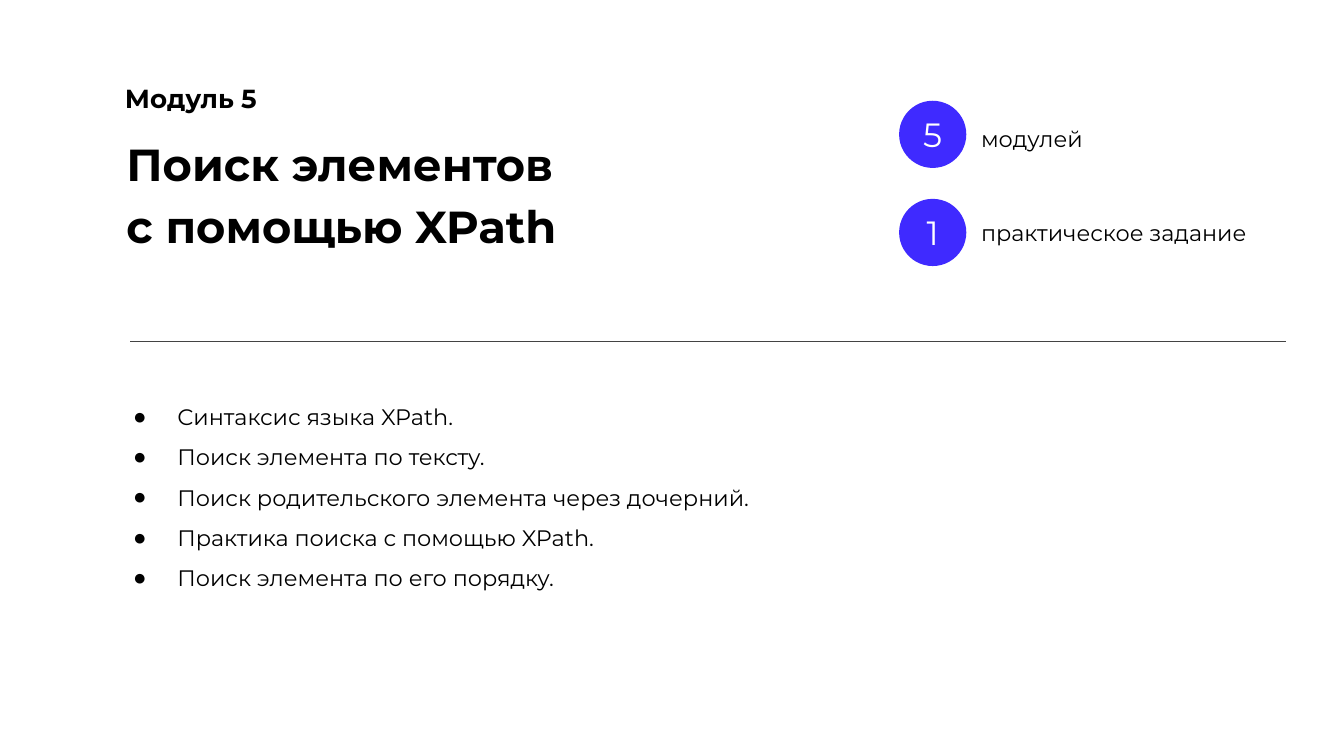
from lxml.etree import SubElement
from pptx import Presentation
from pptx.dml.color import RGBColor
from pptx.enum.shapes import MSO_CONNECTOR as Connector, MSO_SHAPE as Shape
from pptx.enum.text import MSO_ANCHOR as Anchor, MSO_AUTO_SIZE as AutoSize, PP_ALIGN as Align
from pptx.oxml.ns import qn
from pptx.util import Inches, Pt

# Content
MODULE = "Модуль 5"
TITLE = "Поиск элементов\vс помощью XPath"
TOPICS = [
    "Синтаксис языка XPath.",
    "Поиск элемента по тексту.",
    "Поиск родительского элемента через дочерний.",
    "Практика поиска с помощью XPath.",
    "Поиск элемента по его порядку.",
]
# Count, label, top of the label
COUNTERS = [("5", "модулей", 0.9), ("1", "практическое задание", 1.6)]

# Formats
BLACK, WHITE, BLUE, GREY = "000000", "FFFFFF", "3F2AFF", "434343"
MODULE_FONT = {"size": Pt(14), "bold": True}
TITLE_FONT = {"size": Pt(24), "bold": True}
BODY_FONT = {"size": Pt(12), "bold": False}
COUNT_FONT = {"size": Pt(18), "bold": False}

# Grid, in inches
WIDTH = 10
HEIGHT = WIDTH * 9 / 16
CIRCLE_LEFT, CIRCLE_TOP, CIRCLE_SIZE, CIRCLE_STEP = 6.69, 0.75, 0.5, 0.73
LABEL_LEFT, LABEL_WIDTH, LABEL_HEIGHT = 7.3, 2.3, 0.4
RULE_LEFT, RULE_RIGHT, RULE_TOP = 0.97, 9.57, 2.54


def rgb(code):
    return RGBColor.from_string(code)


def box(*lengths):
    return [Inches(length) for length in lengths]


def write(shape, paragraphs, font, color=BLACK, spacing=1.15,
          align=Align.LEFT, anchor=Anchor.TOP, bullet=None):
    frame = shape.text_frame
    settings = {"word_wrap": True, "auto_size": AutoSize.NONE, "vertical_anchor": anchor,
                "margin_left": 0, "margin_top": 0, "margin_right": 0, "margin_bottom": 0}
    for name, value in settings.items():
        setattr(frame, name, value)
    for index, text in enumerate(paragraphs):
        paragraph = frame.add_paragraph() if index else frame.paragraphs[0]
        paragraph.text = text
        paragraph.alignment = align
        paragraph.line_spacing = spacing
        if bullet:
            add_bullet(paragraph, bullet)
        for name, value in {"name": "Montserrat", **font}.items():
            setattr(paragraph.font, name, value)
        paragraph.font.color.rgb = rgb(color)


def add_bullet(paragraph, mark):
    props = paragraph._p.get_or_add_pPr()
    props.set("marL", str(Inches(0.5)))
    props.set("indent", str(Inches(-0.33)))
    mark_color = SubElement(props, qn("a:buClr"))
    SubElement(mark_color, qn("a:srgbClr"), val=BLACK)
    SubElement(props, qn("a:buFont"), typeface="Arial")
    SubElement(props, qn("a:buChar"), char=mark)


def main():
    deck = Presentation()
    deck.slide_width, deck.slide_height = box(WIDTH, HEIGHT)
    slide = deck.slides.add_slide(deck.slide_layouts[5])
    shapes = slide.shapes

    # Heading
    write(shapes.add_textbox(*box(0.93, 0.58, 4.79, 0.28)), [MODULE], MODULE_FONT)
    title = shapes.title
    title.left, title.top, title.width, title.height = box(0.94, 0.96, 3.94, 0.87)
    write(title, [TITLE], TITLE_FONT)

    # Topics
    topics = shapes.add_textbox(*box(0.82, 2.9, 8.52, 1.46))
    write(topics, TOPICS, BODY_FONT, spacing=1.5, bullet="●")

    # Dividing rule
    rule = shapes.add_connector(Connector.STRAIGHT,
                                *box(RULE_LEFT, RULE_TOP, RULE_RIGHT, RULE_TOP))
    rule.line.color.rgb = rgb(GREY)
    rule.line.width = Pt(0.75)
    SubElement(rule._element.spPr, qn("a:effectLst"))

    # Counters
    for row, (count, label, label_top) in enumerate(COUNTERS):
        circle = shapes.add_shape(Shape.OVAL, *box(
            CIRCLE_LEFT, CIRCLE_TOP + row * CIRCLE_STEP, CIRCLE_SIZE, CIRCLE_SIZE))
        circle.shadow.inherit = False
        circle.fill.solid()
        circle.fill.fore_color.rgb = rgb(BLUE)
        circle.line.fill.background()
        write(circle, [count], COUNT_FONT, WHITE, 1.0, Align.CENTER, Anchor.MIDDLE)
        caption = shapes.add_textbox(*box(LABEL_LEFT, label_top, LABEL_WIDTH, LABEL_HEIGHT))
        write(caption, [label], BODY_FONT)

    deck.save("out.pptx")


if __name__ == "__main__":
    main()
